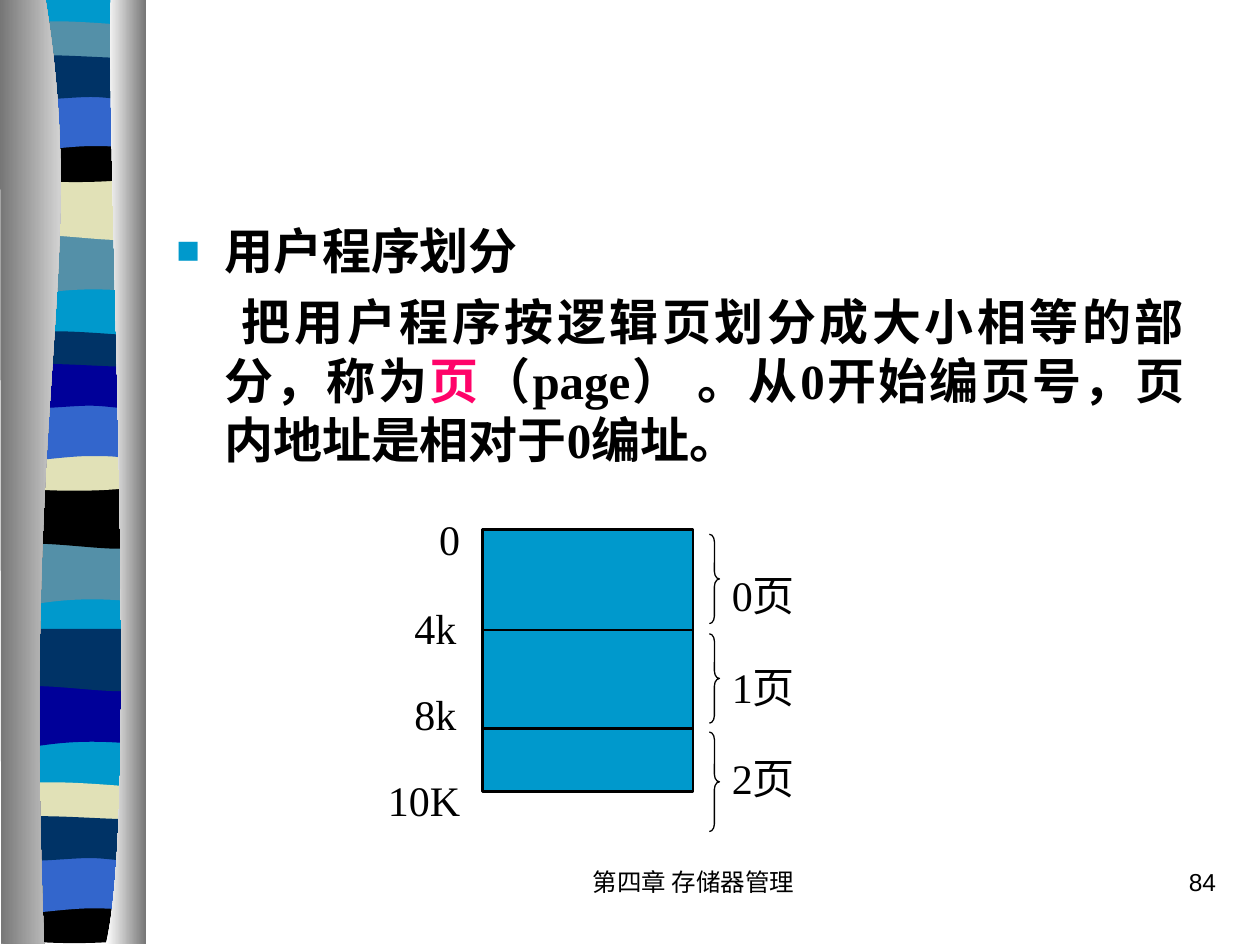
from lxml.etree import SubElement
from pptx import Presentation
from pptx.dml.color import RGBColor
from pptx.enum.shapes import MSO_CONNECTOR, MSO_SHAPE
from pptx.enum.text import MSO_ANCHOR, MSO_AUTO_SIZE, PP_ALIGN
from pptx.oxml.ns import qn
from pptx.util import Inches, Pt

COLORS = {
    "cyan": "0099CC", "teal": "5490A8", "sand": "E1E1B7", "black": "000000",
    "blue": "3366CC", "navy": "003366", "indigo": "000099",
    "pink": "FF0369", "gray": "767676", "white": "FFFFFF",
}
RGB = {name: RGBColor.from_string(value) for name, value in COLORS.items()}
SERIF = "Times New Roman"
CJK = "Noto Sans CJK SC"

presentation = Presentation()
presentation.slide_width = Inches(10)
presentation.slide_height = Inches(7.5)
slide = presentation.slides.add_slide(presentation.slide_layouts[1])
slide.shapes.title.element.getparent().remove(slide.shapes.title.element)


def add_outline(segments, left=0, top=0):
    """Draw a closed outline; two numbers are a line end, six a Bezier curve."""
    points = [(Inches(left + segment[i]), Inches(top + segment[i + 1]))
              for segment in segments for i in range(0, len(segment), 2)]
    builder = slide.shapes.build_freeform(*points[0], scale=1.0)
    builder.add_line_segments(points[1:], close=True)
    shape = builder.convert_to_shape()
    # Merge each run of three line ends that belongs to a curve
    lines = iter(list(shape._element.iter(qn("a:lnTo"))))
    for segment in segments[1:]:
        line = next(lines)
        if len(segment) == 6:
            line.tag = qn("a:cubicBezTo")
            for _ in range(2):
                extra = next(lines)
                line.append(extra[0])
                extra.getparent().remove(extra)
    shape.shadow.inherit = False
    shape.line.fill.background()
    return shape


def add_text(lines, left, top, width, height, size=24, font=SERIF,
             align=PP_ALIGN.LEFT, spacing=1.0, before=0):
    box = slide.shapes.add_textbox(Inches(left), Inches(top), Inches(width), Inches(height))
    frame = box.text_frame
    frame.word_wrap = True
    for index, line in enumerate(lines):
        paragraph = frame.paragraphs[0] if index == 0 else frame.add_paragraph()
        paragraph.alignment = align
        paragraph.line_spacing = spacing
        paragraph.space_before = Pt(before if index else 0)
        run = paragraph.add_run()
        run.text = line
        run.font.size = Pt(size)
        run.font.name = font
        run.font.color.rgb = RGB["black"]


# Sidebar: six wavy band outlines, repeated in three sets
waves = [
    [(1.08, 0), (1.08, 0.47), (0.33, 0.39, 0.18, 0.55, 0, 0.47), (0, 0)],
    [(1.08, 0), (1.08, 0.47), (0.9, 0.55, 0.33, 0.41, 0, 0.47), (0, 0)],
    [(1.08, 0.05), (1.08, 0.29), (0.9, 0.33, 0.18, 0.33, 0, 0.29), (0, 0.05),
     (0.06, 0, 0.23, 0.01, 0.41, 0.01), (0.59, 0.01, 0.94, 0.04, 1.08, 0.05)],
    [(1.08, 0), (1.08, 0.32), (0.9, 0.38, 0.18, 0.38, 0, 0.32), (0, 0),
     (0.66, 0.05, 0.85, 0, 1.08, 0)],
    [(1.08, 0), (1.08, 0.47), (0.91, 0.42, 0.84, 0.42, 0.66, 0.42),
     (0.48, 0.42, 0.16, 0.47, 0, 0.47), (0, 0)],
    [(1.08, 0.05), (1.08, 0.36), (1.01, 0.41, 0.84, 0.36, 0.66, 0.36),
     (0.48, 0.36, 0.11, 0.41, 0, 0.36), (0, 0.05), (0.15, 0, 0.73, 0.05, 0.91, 0.05)],
]
band_sets = [
    (0.06, [("teal", 1.85), ("sand", 1.41), ("teal", 0.16),
            ("black", 1.08), ("blue", 0.74), ("navy", 0.41)]),
    (0.05, [("teal", 4.31), ("black", 3.86), ("navy", 2.62),
            ("sand", 3.53), ("blue", 3.2), ("indigo", 2.86)]),
    (0.05, [("indigo", 5.44), ("navy", 4.99), ("sand", 6.2),
            ("black", 7.12), ("blue", 6.79), ("navy", 6.45)]),
]
backing = add_outline([(1.14, -0.01), (1.14, 7.47), (0.06, 7.47), (0.06, -0.01)])
backing.fill.solid()
backing.fill.fore_color.rgb = RGB["cyan"]
for left, bands in band_sets:
    for wave, (color, top) in zip(waves, bands):
        band = add_outline(wave, left, top)
        band.fill.solid()
        band.fill.fore_color.rgb = RGB[color]

# Sidebar: curved gradient edges
edges = [
    ([(0.36, -0.01), (0.71, 2.16, 0.17, 2.96, 0.35, 7.49), (0.01, 7.49), (0, -0.01)],
     ("gray", "white")),
    ([(0.88, -0.01), (0.84, 1.25, 1.11, 6.46, 0.84, 7.49), (1.16, 7.49), (1.16, 0)],
     ("white", "gray")),
]
for outline, stop_colors in edges:
    edge = add_outline(outline)
    edge.fill.gradient()
    edge.fill.gradient_angle = 0
    for stop, position, color in zip(edge.fill.gradient_stops, (0, 1), stop_colors):
        stop.position = position
        stop.color.rgb = RGB[color]

# Body text
body = slide.placeholders[1]
body.left, body.top, body.width, body.height = map(Inches, (1.3, 1.7, 8.2, 2.07))
frame = body.text_frame
frame.auto_size = MSO_AUTO_SIZE.NONE
frame.vertical_anchor = MSO_ANCHOR.TOP
body_paragraphs = [
    [("用户程序划分", SERIF, "black")],
    [("把用户程序按逻辑页划分成大小相等的部分，称为", SERIF, "black"),
     ("页", CJK, "pink"), ("（", CJK, "black"), ("page", SERIF, "black"),
     ("）", CJK, "black"),
     (" 。从0开始编页号，页内地址是相对于0编址。", SERIF, "black")],
]
for index, runs in enumerate(body_paragraphs):
    paragraph = frame.paragraphs[0] if index == 0 else frame.add_paragraph()
    paragraph.alignment = PP_ALIGN.JUSTIFY if index else PP_ALIGN.LEFT
    paragraph.space_before = Pt(7 if index else 0)
    paragraph.line_spacing = 1.0
    properties = paragraph._p.get_or_add_pPr()
    properties.set("marL", str(Inches(0.38)))
    properties.set("indent", str(Inches(0.14 if index else -0.38)))
    properties.set("hangingPunct", "0")
    if index:
        SubElement(properties, qn("a:buNone"))
    else:
        bullet_color = SubElement(properties, qn("a:buClr"))
        SubElement(bullet_color, qn("a:srgbClr"), val=COLORS["cyan"])
        SubElement(properties, qn("a:buSzPct"), val="80000")
        SubElement(properties, qn("a:buFont"), typeface="Arial")
        SubElement(properties, qn("a:buChar"), char="■")
    for text, font, color in runs:
        run = paragraph.add_run()
        run.text = text
        run.font.size = Pt(28)
        run.font.bold = True
        run.font.name = font
        run.font.color.rgb = RGB[color]

# Memory block with page dividers
memory = slide.shapes.add_shape(
    MSO_SHAPE.RECTANGLE, Inches(3.83), Inches(4.2), Inches(1.67), Inches(2.08))
memory.shadow.inherit = False
memory.fill.solid()
memory.fill.fore_color.rgb = RGB["cyan"]
memory.line.color.rgb = RGB["black"]
memory.line.width = Pt(1.5)
for y in (5, 5.78):
    divider = slide.shapes.add_connector(
        MSO_CONNECTOR.STRAIGHT, Inches(3.83), Inches(y), Inches(5.5), Inches(y))
    divider.line.color.rgb = RGB["black"]
    divider.line.width = Pt(1.5)
    SubElement(divider._element.spPr, qn("a:effectLst"))

# Address labels, braces and page labels
add_text(["0", "10K"], 2.75, 3.95, 1, 2.65,
         align=PP_ALIGN.RIGHT, spacing=1.2, before=114.4)
add_text(["4k", "8k"], 2.97, 4.65, 0.75, 1.26,
         align=PP_ALIGN.RIGHT, spacing=1.2, before=15)
for top, height in ((4.24, 0.71), (5.03, 0.71), (5.81, 0.79)):
    brace = slide.shapes.add_shape(
        MSO_SHAPE.RIGHT_BRACE, Inches(5.63), Inches(top), Inches(0.08), Inches(height))
    brace.adjustments[0] = 0.75
    brace.shadow.inherit = False
    brace.fill.background()
    brace.line.color.rgb = RGB["black"]
    brace.line.width = Pt(0.75)
add_text(["0页", "1页", "2页"], 5.71, 4.35, 0.79, 2.08, spacing=1.3, before=15)

# Footer and page number
add_text(["第四章 存储器管理"], 3.92, 6.83, 3.17, 0.5,
         size=14, font="Arial", align=PP_ALIGN.CENTER)
add_text(["84"], 7.67, 6.83, 2.08, 0.5, size=14, font="Arial", align=PP_ALIGN.RIGHT)

presentation.save("out.pptx")
